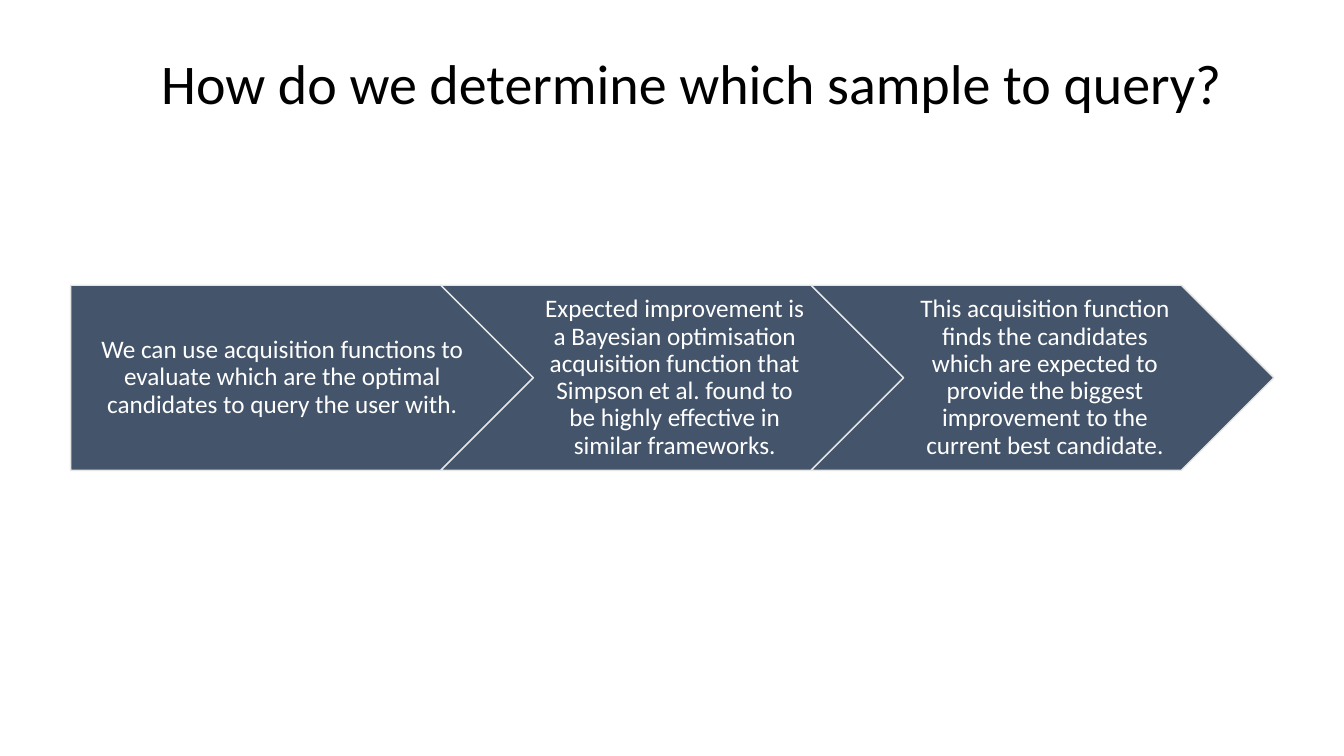
from dataclasses import dataclass

from pptx import Presentation
from pptx.dml.color import RGBColor
from pptx.enum.shapes import MSO_SHAPE
from pptx.enum.text import MSO_ANCHOR, PP_ALIGN
from pptx.util import Inches, Pt

PENTAGON, CHEVRON = MSO_SHAPE.PENTAGON, MSO_SHAPE.CHEVRON
MIDDLE = MSO_ANCHOR.MIDDLE
LEFT, CENTER = PP_ALIGN.LEFT, PP_ALIGN.CENTER

SLIDE_W, SLIDE_H = 13.33, 7.5
COLORS = {"title": "000000", "step": "44546A", "edge": "E7E6E6", "text": "FFFFFF"}
FONT = "Calibri"

STEP_LEFT, STEP_TOP = 0.7, 2.83
STEP_W = 4.59
STEP_H = STEP_W * 0.4
STEP_PITCH = STEP_W * 0.8


@dataclass
class Step:
    kind: int
    inset: float
    text: str


STEPS = [
    Step(PENTAGON, 0.1, "We can use acquisition functions to evaluate which are the "
         "optimal candidates to query the user with."),
    Step(CHEVRON, 0.08, "Expected improvement is a Bayesian optimisation acquisition "
         "function that Simpson et al. found to be highly effective in similar frameworks."),
    Step(CHEVRON, 0.08, "This acquisition function finds the candidates which are expected "
         "to provide the biggest improvement to the current best candidate."),
]


def rgb(name: str) -> RGBColor:
    return RGBColor.from_string(COLORS[name])


def write(sp, text: str, size: float, color: str, align: int,
          left: float = 0.1, right: float = 0.1) -> None:
    tf = sp.text_frame
    frame = {"word_wrap": True, "vertical_anchor": MIDDLE,
             "margin_left": Inches(left), "margin_right": Inches(right),
             "margin_top": Inches(0.05), "margin_bottom": Inches(0.05)}
    for name, value in frame.items():
        setattr(tf, name, value)
    p = tf.paragraphs[0]
    p.alignment = align
    p.line_spacing = 0.9
    r = p.add_run()
    r.text = text
    for name, value in {"name": FONT, "size": Pt(size)}.items():
        setattr(r.font, name, value)
    r.font.color.rgb = rgb(color)


def add_title(s, text: str) -> None:
    sp = s.shapes.add_textbox(Inches(1.5), Inches(0.38), Inches(10.98), Inches(0.96))
    write(sp, text, 40, "title", LEFT)


def add_step(s, column: int, step: Step) -> None:
    sp = s.shapes.add_shape(step.kind, Inches(STEP_LEFT + column * STEP_PITCH),
                            Inches(STEP_TOP), Inches(STEP_W), Inches(STEP_H))
    sp.shadow.inherit = False
    sp.fill.solid()
    sp.fill.fore_color.rgb = rgb("step")
    sp.line.color.rgb = rgb("edge")
    sp.line.width = Pt(1)
    write(sp, step.text, 18, "text", CENTER, step.inset, 0.03)


def main() -> None:
    prs = Presentation()
    prs.slide_width, prs.slide_height = Inches(SLIDE_W), Inches(SLIDE_H)
    s = prs.slides.add_slide(prs.slide_layouts[6])
    add_title(s, "How do we determine which sample to query?")
    for column, step in enumerate(STEPS):
        add_step(s, column, step)
    prs.save("out.pptx")


if __name__ == "__main__":
    main()
